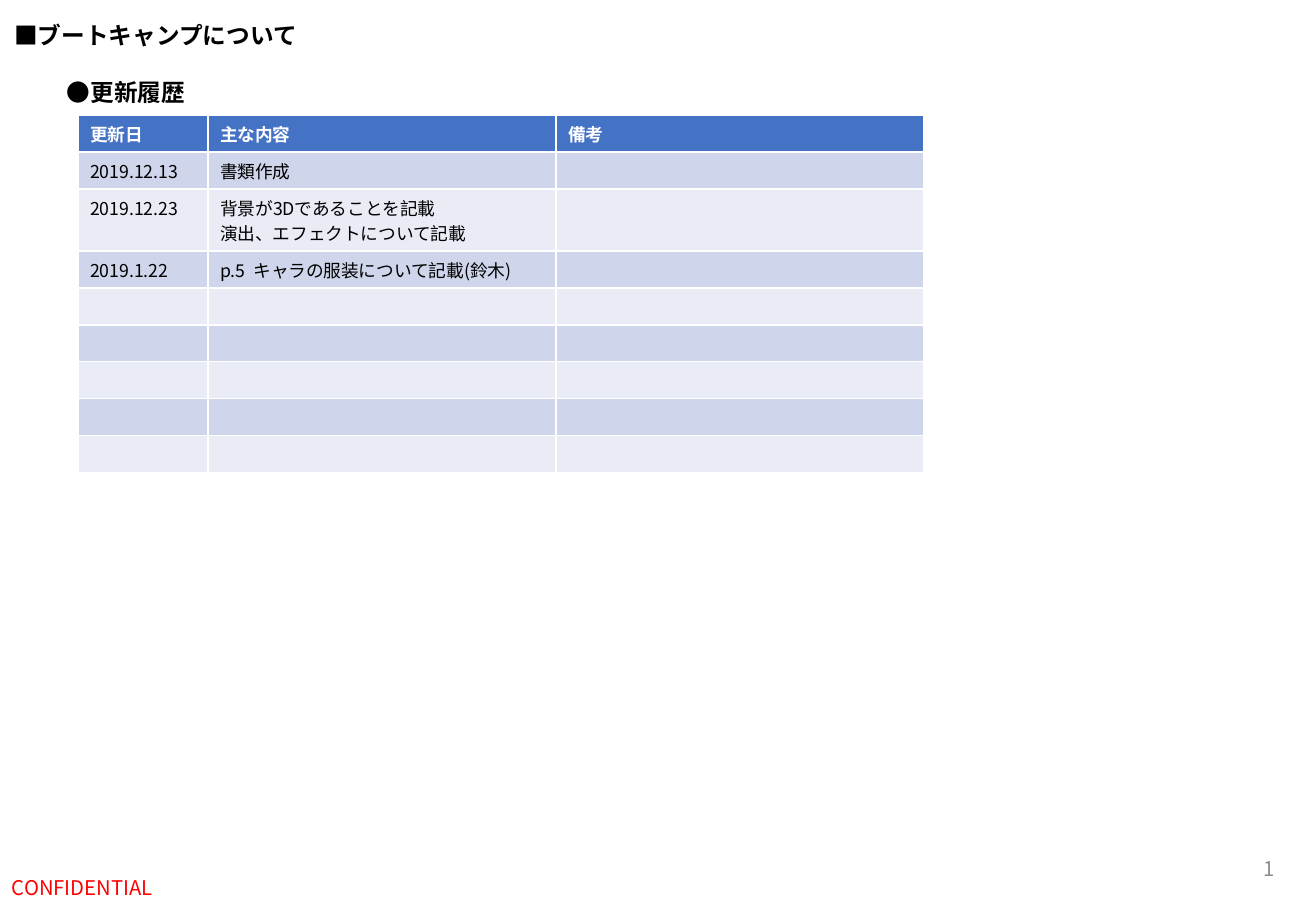
from dataclasses import dataclass

from pptx import Presentation
from pptx.dml.color import RGBColor
from pptx.enum.text import MSO_ANCHOR, MSO_AUTO_SIZE, PP_ALIGN
from pptx.oxml.ns import qn
from pptx.util import Emu, Inches, Pt
from lxml.etree import SubElement

FONT = "Noto Sans CJK JP"
SCALE = 914400 / 121.5
BLACK, WHITE, RED, GREY = "000000", "FFFFFF", "FF0000", "8C8C8C"
HEAD, BANDS = "4472C4", ("CFD5EA", "E9EBF5")
SIZE = 10.5


@dataclass
class Label:
    text: str
    left: int
    top: int
    width: int
    height: int
    size: float
    color: str
    bold: bool = False
    align: PP_ALIGN = PP_ALIGN.LEFT


TITLE = Label("■ブートキャンプについて", 2, 15, 311, 41, 14, BLACK, True)
LABELS = [
    Label("●更新履歴", 55, 72, 143, 41, 14, BLACK, True),
    Label("1", 991, 844, 296, 49, 12, GREY, align=PP_ALIGN.RIGHT),
    Label("CONFIDENTIAL", 0, 863, 411, 49, 12, RED),
]
COLS = (130, 348, 368)
ROW, LINE = 37, 25
ROWS = [
    ("更新日", "主な内容", "備考"),
    ("2019.12.13", "書類作成", ""),
    ("2019.12.23", "背景が3Dであることを記載\n演出、エフェクトについて記載", ""),
    ("2019.1.22", "p.5  キャラの服装について記載(鈴木)", ""),
] + [("", "", "")] * 5


def px(n: int) -> Emu:
    return Emu(round(n * SCALE))


def rgb(code: str) -> RGBColor:
    return RGBColor.from_string(code)


def add_run(para, text: str, size: float, color: str, bold: bool) -> None:
    run = para.add_run()
    run.text = text
    font = run.font
    font.size, font.bold, font.name = Pt(size), bold, FONT
    font.color.rgb = rgb(color)
    # East Asian glyphs take their own typeface entry
    SubElement(run._r.get_or_add_rPr(), qn("a:ea"), typeface=FONT)


def fill_box(box, item: Label) -> None:
    box.left, box.top = px(item.left), px(item.top)
    box.width, box.height = px(item.width), px(item.height)
    frame = box.text_frame
    if item.bold:
        frame.word_wrap = False
        frame.auto_size = MSO_AUTO_SIZE.SHAPE_TO_FIT_TEXT
        frame.vertical_anchor = MSO_ANCHOR.TOP
    else:
        frame.word_wrap = True
        frame.vertical_anchor = MSO_ANCHOR.MIDDLE
    para = frame.paragraphs[0]
    para.alignment = item.align
    add_run(para, item.text, item.size, item.color, item.bold)


def fill_cell(cell, text: str, row: int) -> None:
    cell.fill.solid()
    cell.fill.fore_color.rgb = rgb(BANDS[(row - 1) % 2] if row else HEAD)
    frame = cell.text_frame
    for i, line in enumerate(text.split("\n")):
        para = frame.add_paragraph() if i else frame.paragraphs[0]
        if line:
            add_run(para, line, SIZE, BLACK if row else WHITE, row == 0)
        else:
            # Keep empty cells at the table's text size
            end = SubElement(para._p, qn("a:endParaRPr"), sz=str(int(SIZE * 100)))
            for tag in ("a:latin", "a:ea"):
                SubElement(end, qn(tag), typeface=FONT)


def add_log(slide) -> None:
    frame = slide.shapes.add_table(
        len(ROWS), len(COLS), px(78), px(115), px(sum(COLS)), px(ROW * len(ROWS) + LINE))
    table = frame.table
    for col, width in zip(table.columns, COLS):
        col.width = px(width)
    for r, texts in enumerate(ROWS):
        extra = max(text.count("\n") for text in texts)
        table.rows[r].height = px(ROW + LINE * extra)
        for c, text in enumerate(texts):
            fill_cell(table.cell(r, c), text, r)


def main() -> None:
    deck = Presentation()
    deck.slide_width, deck.slide_height = Inches(10.83), Inches(7.5)
    slide = deck.slides.add_slide(deck.slide_layouts[5])

    # Update history table
    add_log(slide)

    # Title, heading, page number and footer
    fill_box(slide.shapes.title, TITLE)
    for item in LABELS:
        fill_box(slide.shapes.add_textbox(0, 0, 0, 0), item)

    deck.save("out.pptx")


if __name__ == "__main__":
    main()
